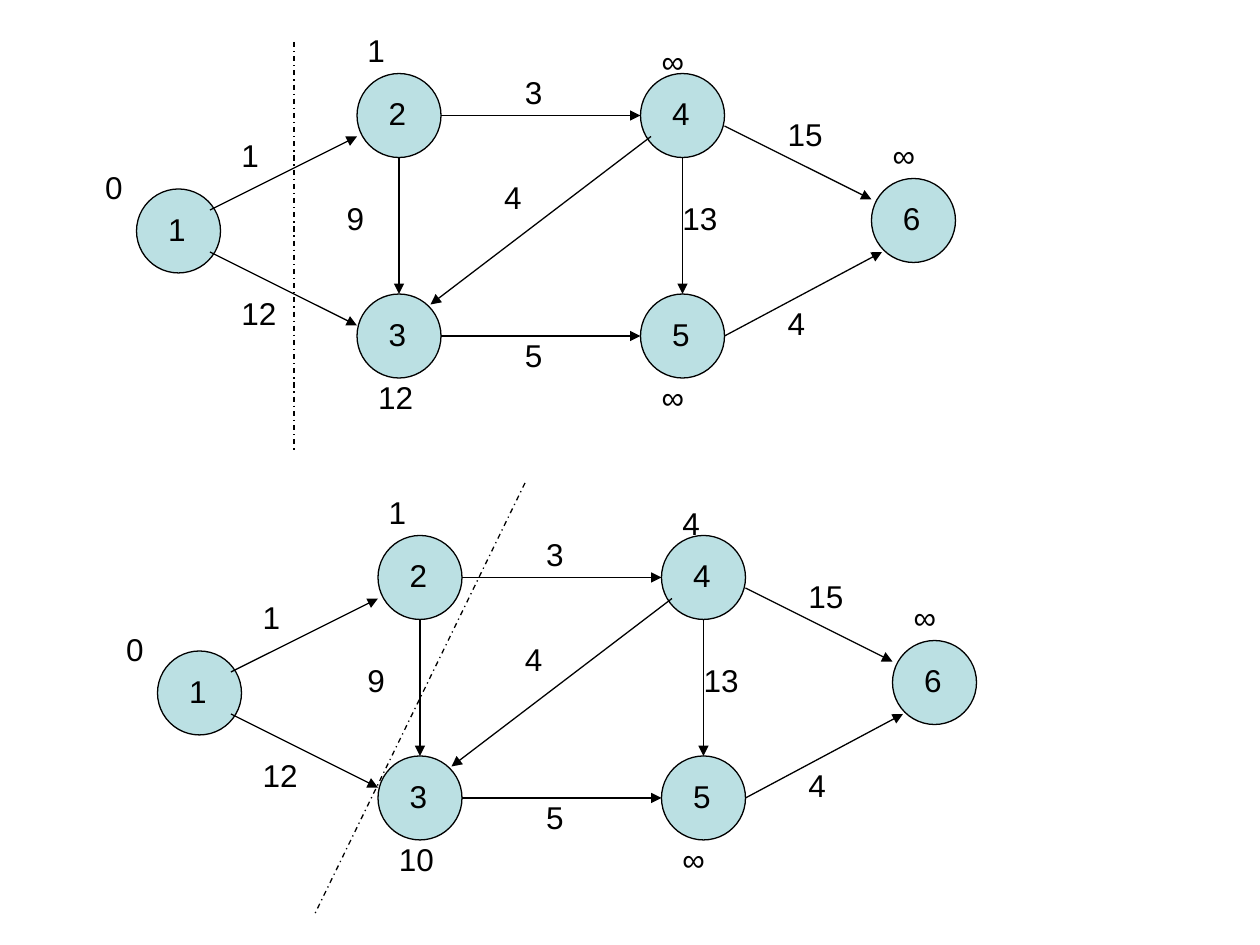
from dataclasses import dataclass

from pptx import Presentation
from pptx.dml.color import RGBColor
from pptx.enum.dml import MSO_LINE
from pptx.enum.shapes import MSO_CONNECTOR, MSO_SHAPE
from pptx.enum.text import MSO_AUTO_SIZE
from pptx.oxml.ns import qn
from pptx.util import Inches, Pt
from lxml.etree import SubElement


@dataclass(frozen=True)
class Theme:
    font: str = "Arial"
    text_size: int = 18
    ink: RGBColor = RGBColor(0x00, 0x00, 0x00)
    node_fill: RGBColor = RGBColor(0xBB, 0xE0, 0xE3)
    line_width: float = 0.75


THEME = Theme()

# All places are columns and rows of a grid with 12 cells to the inch
CELLS_PER_INCH = 12
NODE_SIZE = 8
LABEL_WIDTH = 4
LABEL_HEIGHT = 3.6

# Top left corner of each node
NODES = {
    "1": (13, 18),
    "6": (83, 17),
    "5": (61, 28),
    "4": (61, 7),
    "3": (34, 28),
    "2": (34, 7),
}

# Start, end, weight, place of the weight
EDGES = [
    ((20, 20), (34, 13), "1", (23, 13)),
    ((20, 24), (34, 31), "12", (23, 28)),
    ((38, 15), (38, 28), "9", (33, 19)),
    ((42, 32), (61, 32), "5", (50, 32)),
    ((42, 11), (61, 11), "3", (50, 7)),
    ((62, 13), (41, 29), "4", (48, 17)),
    ((65, 15), (65, 28), "13", (65, 19)),
    ((69, 12), (83, 19), "15", (75, 11)),
    ((69, 32), (84, 24), "4", (75, 29)),
]

# Place of each node's distance
DISTANCE_PLACES = {
    "1": (10, 16),
    "2": (35, 3),
    "3": (36, 36),
    "4": (63, 4),
    "5": (63, 36),
    "6": (85, 13),
}

# Each step: origin of the graph, distances of nodes 1 to 6, ends of the cut
STEPS = [
    ((0, 0), ["0", "1", "12", "∞", "∞", "∞"], ((28, 4), (28, 43))),
    ((2, 44), ["0", "1", "10", "4", "∞", "∞"], ((48, 2), (28, 43))),
]


def cells(count):
    return Inches(count / CELLS_PER_INCH)


def shift(place, offset):
    return place[0] + offset[0], place[1] + offset[1]


def style_line(line):
    line.color.rgb = THEME.ink
    line.width = Pt(THEME.line_width)


def add_label(shapes, text, place, width=LABEL_WIDTH):
    column, row = place
    box = shapes.add_textbox(cells(column), cells(row), cells(width), cells(LABEL_HEIGHT))
    frame = box.text_frame
    frame.word_wrap = True
    frame.auto_size = MSO_AUTO_SIZE.SHAPE_TO_FIT_TEXT
    frame.margin_left = frame.margin_right = 0
    frame.margin_top = frame.margin_bottom = 0
    run = frame.paragraphs[0].add_run()
    run.text = text
    run.font.name = THEME.font
    run.font.size = Pt(THEME.text_size)
    run.font.color.rgb = THEME.ink


def add_node(shapes, name, place):
    group = shapes.add_group_shape()
    column, row = place
    circle = group.shapes.add_shape(
        MSO_SHAPE.OVAL, cells(column), cells(row), cells(NODE_SIZE), cells(NODE_SIZE)
    )
    circle.shadow.inherit = False
    circle.fill.solid()
    circle.fill.fore_color.rgb = THEME.node_fill
    style_line(circle.line)
    add_label(group.shapes, name, shift(place, (3, 2)), width=2)


def add_line(shapes, start, end):
    connector = shapes.add_connector(
        MSO_CONNECTOR.STRAIGHT, *(cells(count) for count in (*start, *end))
    )
    style_line(connector.line)
    SubElement(connector._element.spPr, qn("a:effectLst"))
    return connector


def add_arrow(shapes, start, end):
    arrow = add_line(shapes, start, end)
    SubElement(arrow.line._get_or_add_ln(), qn("a:tailEnd"), type="triangle")


def add_cut(shapes, start, end):
    add_line(shapes, start, end).line.dash_style = MSO_LINE.DASH_DOT


def add_graph(shapes, origin, distances, cut):
    # Nodes
    for name, place in NODES.items():
        add_node(shapes, name, shift(place, origin))

    # Edges, then their weights on top
    for start, end, _, _ in EDGES:
        add_arrow(shapes, shift(start, origin), shift(end, origin))
    for _, _, weight, place in EDGES:
        add_label(shapes, weight, shift(place, origin))

    # Distances from node 1
    for distance, place in zip(distances, DISTANCE_PLACES.values()):
        add_label(shapes, distance, shift(place, origin))

    # Cut between finished and open nodes
    add_cut(shapes, *(shift(point, origin) for point in cut))


def main():
    presentation = Presentation()
    presentation.slide_width = Inches(10)
    presentation.slide_height = Inches(7.5)
    slide = presentation.slides.add_slide(presentation.slide_layouts[6])
    for origin, distances, cut in STEPS:
        add_graph(slide.shapes, origin, distances, cut)
    presentation.save("out.pptx")


if __name__ == "__main__":
    main()
